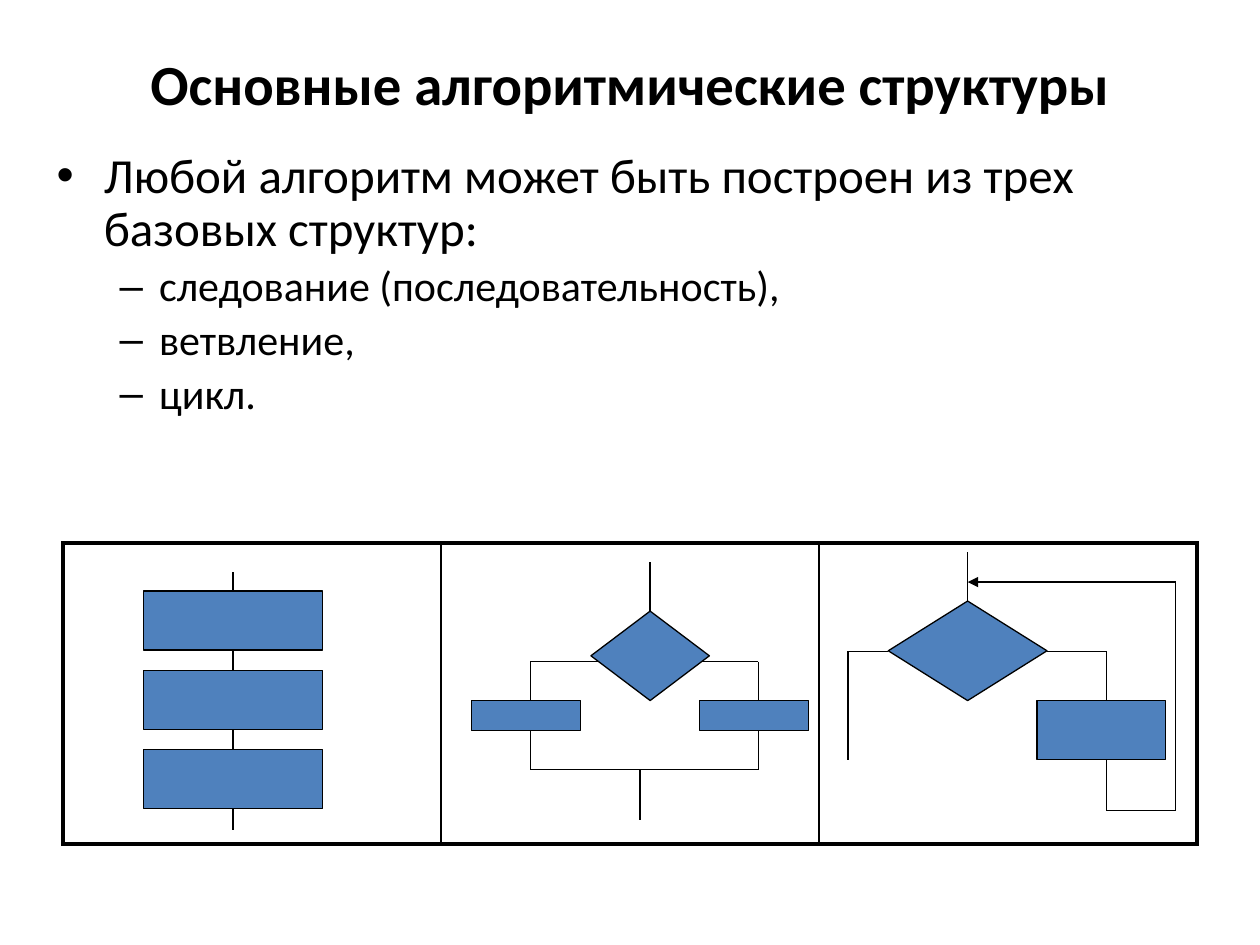
from dataclasses import dataclass
from itertools import pairwise

from lxml.etree import SubElement
from pptx import Presentation
from pptx.dml.color import RGBColor
from pptx.enum.shapes import MSO_CONNECTOR, MSO_SHAPE
from pptx.enum.text import MSO_ANCHOR, MSO_AUTO_SIZE, PP_ALIGN
from pptx.oxml import parse_xml
from pptx.oxml.ns import nsdecls, qn
from pptx.util import Inches, Pt


@dataclass(frozen=True)
class Theme:
    """Colours, font and sizes of the slide."""
    ink: RGBColor = RGBColor(0, 0, 0)
    block: RGBColor = RGBColor(0x4F, 0x81, 0xBD)
    font: str = "Calibri"
    title: float = 32.4
    levels: tuple = (28, 24)
    stroke: float = 0.75
    inner_border: float = 1
    outer_border: float = 2.25


THEME = Theme()
TITLE = "Основные алгоритмические структуры"
ITEMS = [
    (0, "Любой алгоритм может быть построен из трех базовых структур:"),
    (1, "следование (последовательность),"),
    (1, "ветвление,"),
    (1, "цикл."),
]


def place(shape, left, top, width, height):
    """Move and size a placeholder, in inches."""
    shape.left, shape.top = Inches(left), Inches(top)
    shape.width, shape.height = Inches(width), Inches(height)


def add_span(para, text, size, bold=False):
    """Add one formatted run to a paragraph."""
    span = para.add_run()
    span.text = text
    span.font.name = THEME.font
    span.font.size = Pt(size)
    span.font.bold = bold
    span.font.color.rgb = THEME.ink


def fill_title(box):
    """Write the title, followed by a line break that lifts it."""
    place(box, 0.5, 0.3, 9, 1.25)
    frame = box.text_frame
    frame.auto_size = MSO_AUTO_SIZE.NONE
    frame.vertical_anchor = MSO_ANCHOR.MIDDLE
    para = frame.paragraphs[0]
    para.alignment = PP_ALIGN.CENTER
    para.font.size = Pt(THEME.title)
    add_span(para, TITLE, THEME.title, bold=True)
    para.add_line_break()
    for properties in para._p.findall(qn("a:br")):
        SubElement(properties, qn("a:rPr"), sz=str(round(THEME.title * 100)))


def fill_list(box):
    """Write the two-level list with the bullets of the template."""
    place(box, 0.35, 1.15, 9, 2.39)
    frame = box.text_frame
    frame.auto_size = MSO_AUTO_SIZE.NONE
    for index, (level, text) in enumerate(ITEMS):
        para = frame.add_paragraph() if index else frame.paragraphs[0]
        para.level = level
        para.line_spacing = 0.9
        add_span(para, text, THEME.levels[level])


def set_borders(cell, widths):
    """Give a cell its left, right, top and bottom border widths."""
    properties = cell._tc.get_or_add_tcPr()
    for index, (side, width) in enumerate(zip("LRTB", widths)):
        properties.insert(index, parse_xml(
            f'<a:ln{side} {nsdecls("a")} w="{Pt(width)}"><a:solidFill>'
            f'<a:srgbClr val="{THEME.ink}"/></a:solidFill></a:ln{side}>'))


def add_frame(page, columns=3):
    """Add the one-row table that holds the flowcharts."""
    table = page.shapes.add_table(
        1, columns, Inches(0.5), Inches(4.31), Inches(9), Inches(2.39)).table
    table.first_row = table.horz_banding = False
    inner, outer = THEME.inner_border, THEME.outer_border
    for index, cell in enumerate(table.iter_cells()):
        cell.fill.background()
        left = inner if index else outer
        right = inner if index < columns - 1 else outer
        set_borders(cell, (left, right, outer, outer))


def add_path(page, *points, arrow=False):
    """Join points with straight lines; an arrow ends the last one."""
    for start, end in pairwise(points):
        line = page.shapes.add_connector(
            MSO_CONNECTOR.STRAIGHT, *map(Inches, start + end))
        line.line.color.rgb = THEME.ink
        line.line.width = Pt(THEME.stroke)
        SubElement(line._element.spPr, qn("a:effectLst"))
    if arrow:
        SubElement(line.line._get_or_add_ln(), qn("a:tailEnd"), type="triangle")


def add_block(page, left, top, width, height, kind=MSO_SHAPE.RECTANGLE):
    """Add a flowchart block."""
    block = page.shapes.add_shape(
        kind, Inches(left), Inches(top), Inches(width), Inches(height))
    block.shadow.inherit = False
    block.fill.solid()
    block.fill.fore_color.rgb = THEME.block
    block.line.color.rgb = THEME.ink
    block.line.width = Pt(THEME.stroke)


def draw_sequence(page):
    """Draw three steps on one line."""
    add_path(page, (1.85, 4.54), (1.85, 6.59))
    for step in range(3):
        add_block(page, 1.14, 4.69 + 0.63 * step, 1.42, 0.47)


def draw_branching(page):
    """Draw a decision with two branches that meet again."""
    left, right, top, bottom = 4.21, 6.02, 5.25, 6.11
    add_path(page, (left, top), (right, top), (right, bottom),
             (left, bottom), (left, top))
    add_path(page, (5.08, bottom), (5.08, 6.51))
    add_path(page, (5.16, 4.85), (5.16, 4.46))
    add_block(page, 4.69, 4.85, 0.94, 0.71, MSO_SHAPE.FLOWCHART_DECISION)
    for block_left in (3.74, 5.55):
        add_block(page, block_left, 5.56, 0.87, 0.24)


def draw_loop(page):
    """Draw a decision whose body leads back to the entry."""
    add_path(page, (7.68, 4.77), (7.68, 4.38))
    add_path(page, (7.05, 5.17), (6.73, 5.17), (6.73, 6.03))
    add_path(page, (8.31, 5.17), (8.78, 5.17), (8.78, 6.43), (9.33, 6.43),
             (9.33, 4.62), (7.68, 4.62), arrow=True)
    add_block(page, 7.05, 4.77, 1.26, 0.79, MSO_SHAPE.FLOWCHART_DECISION)
    add_block(page, 8.23, 5.56, 1.02, 0.47)


def main():
    """Build and save the slide."""
    deck = Presentation()
    deck.slide_width, deck.slide_height = Inches(10), Inches(7.5)
    page = deck.slides.add_slide(deck.slide_layouts[1])
    fill_title(page.shapes.title)
    fill_list(page.placeholders[1])
    add_frame(page)
    draw_sequence(page)
    draw_branching(page)
    draw_loop(page)
    deck.save("out.pptx")


main()
